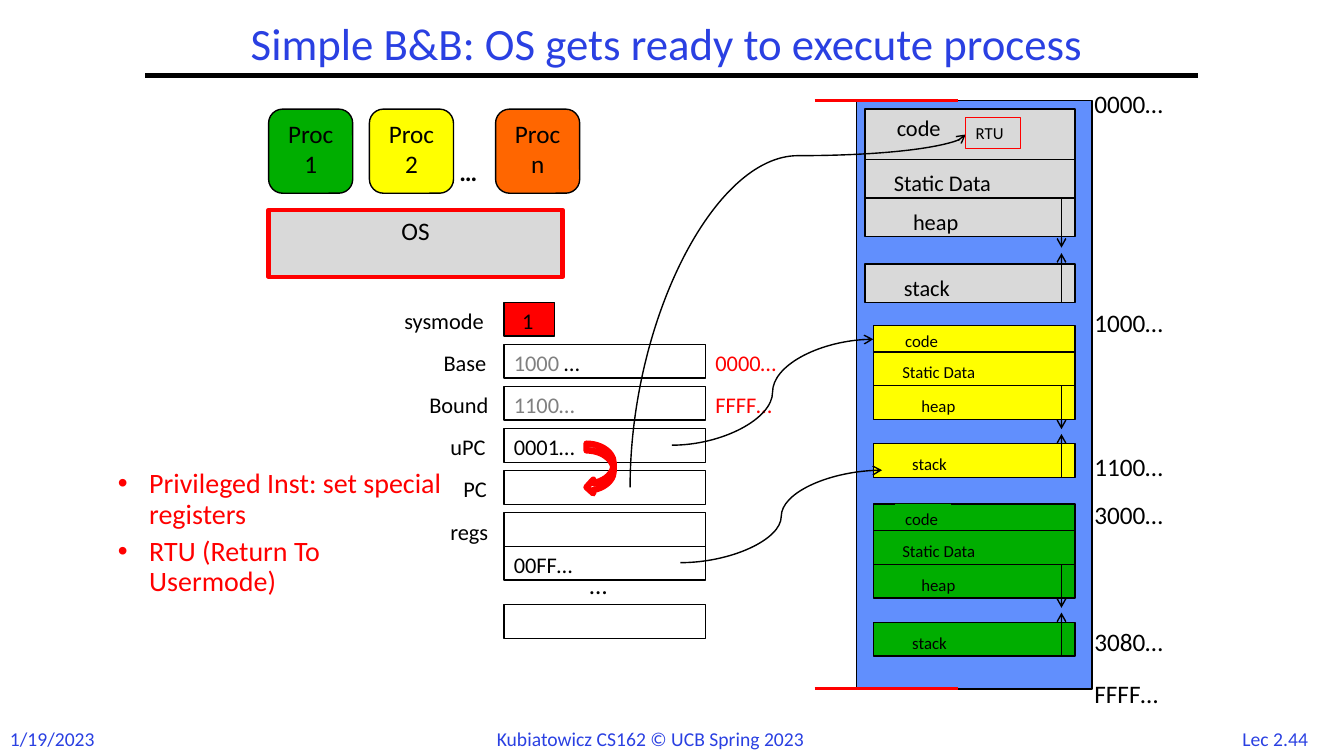
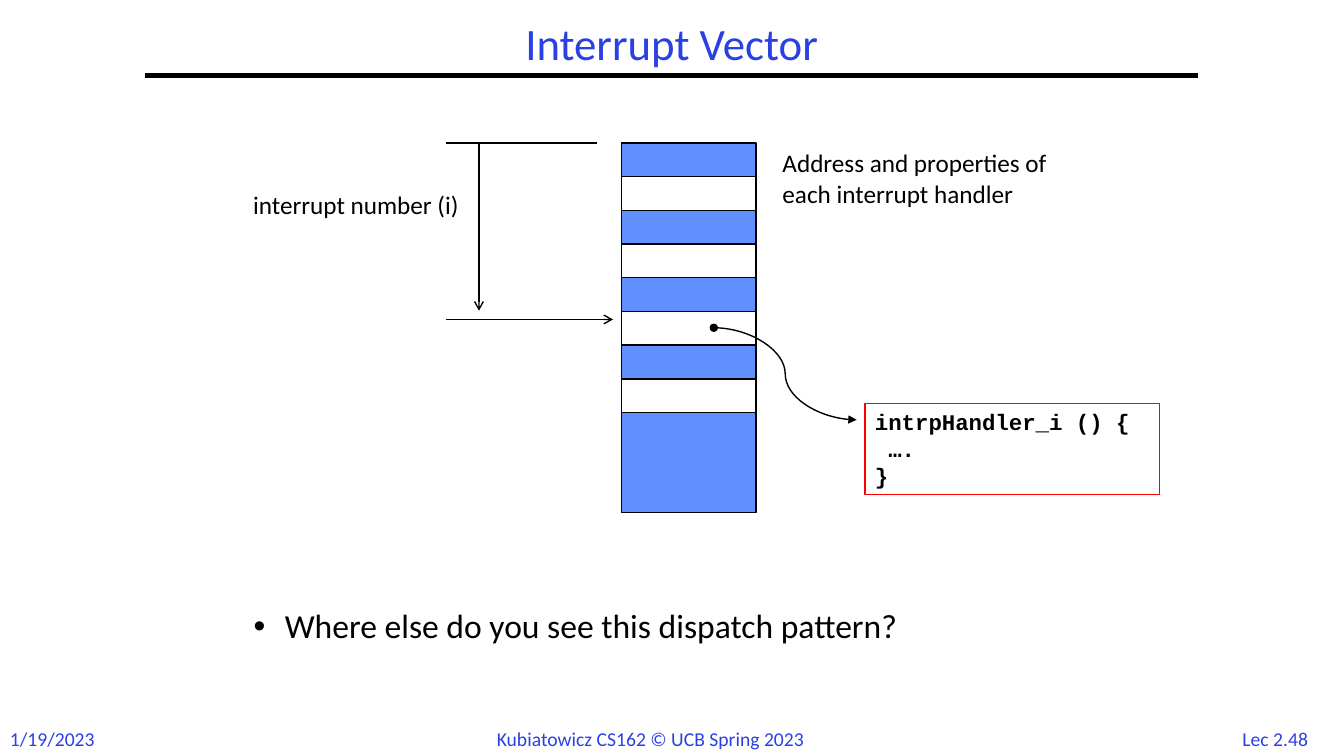
from dataclasses import dataclass
from itertools import accumulate

from lxml import etree
from pptx import Presentation
from pptx import util as u
from pptx.dml.color import RGBColor
from pptx.enum import shapes, text
from pptx.oxml import ns

HUE = {
    "ink": "000000", "blue": "2A40E2", "red": "FF0000", "gray": "808080",
    "pale": "D9D9D9", "sky": "618FFD", "white": "FFFFFF",
    "green": "00AE00", "yellow": "FFFF00", "orange": "FF6600",
}
Box = tuple[float, float, float, float]
Spot = tuple[float, float]
KIND = shapes.MSO_SHAPE
ALIGN = {"left": text.PP_ALIGN.LEFT, "mid": text.PP_ALIGN.CENTER,
         "right": text.PP_ALIGN.RIGHT}


@dataclass
class Proc:
    name: str
    left: float
    fill: str


@dataclass
class Image:
    """Memory of one process: a code row, three further rows, a gap."""
    left: float
    top: float
    width: float
    code: float
    row: float
    fill: str
    size: int
    fit: float
    mask: bool = False


@dataclass
class Part:
    name: str
    shift: float
    drop: float
    width: float


@dataclass
class Reg:
    name: str
    wide: float
    top: float
    value: str = ""
    room: float = 2.4
    tint: str = "ink"
    tail: str = ""
    fresh: str = ""


@dataclass
class Mark:
    name: str
    top: float
    width: float = 2.59


PROCS = [Proc("Proc 1", 6.77, "green"), Proc("Proc 2", 9.31, "yellow"),
         Proc("Proc n", 12.49, "orange")]
IMAGES = [
    Image(21.8, 2.75, 5.29, 1.27, 0.97, "pale", 16, 1),
    Image(22.01, 8.2, 5.08, 0.67, 0.85, "yellow", 12, 0.8),
    Image(22.01, 12.7, 5.08, 0.67, 0.85, "green", 12, 0.8, mask=True),
]
PARTS = [Part("code", 0.55, 0, 1.76), Part("Static Data", 0.48, 0.13, 3.28),
         Part("heap", 0.96, 0.13, 1.79), Part("stack", 0.73, 0.13, 1.86)]
PITCH = 1.06
FIRST = 7.62
REGS = [
    Reg("Base", 1.8, FIRST + PITCH, "1000 ", 2.51, "gray", "…", "0000…"),
    Reg("Bound", 2.16, FIRST + 2 * PITCH, "1100…", 2.31, "gray", "", "FFFF…"),
    Reg("uPC", 1.63, FIRST + 3 * PITCH, "0001…", 2.34),
    Reg("PC", 1.3, FIRST + 4 * PITCH),
    Reg("regs", 1.63, FIRST + 5 * PITCH),
    Reg("", 0, 13.77, "00FF…"),
    Reg("", 0, 15.24),
]
MARKS = [Mark("0000…", 2.11), Mark("1000…", 7.62), Mark("1100…", 11.25, 2.54),
         Mark("3000…", 12.45), Mark("3080…", 15.67),
         Mark("FFFF…", 16.97, 2.72)]


def rgb(hue: str) -> RGBColor:
    return RGBColor.from_string(HUE[hue])


def write(shape, words: str, *, size=18, hue="ink", font="Calibri", bold=False,
          align="left", wrap=True, grow=False, mid=False, lead=None, gap=0,
          bullet=False, tail=""):
    """Fill a shape with one paragraph a line; tail is a last black run."""
    frame = shape.text_frame
    frame.word_wrap = wrap
    frame.auto_size = (text.MSO_AUTO_SIZE.SHAPE_TO_FIT_TEXT if grow
                       else text.MSO_AUTO_SIZE.NONE)
    frame.vertical_anchor = (text.MSO_ANCHOR.MIDDLE if mid
                             else text.MSO_ANCHOR.TOP)
    for i, line in enumerate(words.split("\n")):
        para = frame.add_paragraph() if i else frame.paragraphs[0]
        if bullet:
            props = para._p.get_or_add_pPr()
            props.set("marL", str(u.Cm(0.79)))
            props.set("indent", str(-u.Cm(0.79)))
            etree.SubElement(props, ns.qn("a:buFont"), typeface="Arial")
            etree.SubElement(props, ns.qn("a:buChar"), char="•")
        para.alignment = ALIGN[align]
        if lead:
            para.line_spacing = lead
        if i and gap:
            para.space_before = u.Pt(gap)
        runs = [(line, hue)] + ([(tail, "ink")] if tail else [])
        for part, tint in runs:
            run = para.add_run()
            run.text = part
            run.font.name, run.font.size = font, u.Pt(size)
            run.font.bold = bold
            run.font.color.rgb = rgb(tint)


def label(slide, box: Box, words: str, **form):
    """Text box that keeps to one line unless told to wrap."""
    shape = slide.shapes.add_textbox(*map(u.Cm, box))
    write(shape, words, **{"wrap": False, "grow": True, **form})
    return shape


def block(slide, box: Box, fill=None, *, edge="ink", width=1.0,
          kind=KIND.RECTANGLE):
    shape = slide.shapes.add_shape(kind, *map(u.Cm, box))
    shape.shadow.inherit = False
    if fill:
        shape.fill.solid()
        shape.fill.fore_color.rgb = rgb(fill)
    else:
        shape.fill.background()
    shape.line.color.rgb = rgb(edge)
    shape.line.width = u.Pt(width)
    return shape


def link(slide, start: Spot, end: Spot, *, hue="ink", width=1.0, head="",
         tail="", curve=False, bend=0.5, rise=False):
    """Line or curve; a rising curve leaves its start vertically."""
    (ax, ay), (bx, by) = start, end
    if rise:
        cx, cy = (ax + bx) / 2, (ay + by) / 2
        dx, dy = abs(ay - by) / 2, abs(bx - ax) / 2
        ax, ay, bx, by = cx + dx, cy + dy, cx - dx, cy - dy
    kind = shapes.MSO_CONNECTOR
    wire = slide.shapes.add_connector(
        kind.CURVE if curve else kind.STRAIGHT, *map(u.Cm, (ax, ay, bx, by)))
    wire.line.color.rgb = rgb(hue)
    wire.line.width = u.Pt(width)
    props = wire.element.spPr
    if rise:
        props.find(ns.qn("a:xfrm")).set("rot", str(90 * 60000))
    if curve:
        geom = props.find(ns.qn("a:prstGeom"))
        guides = geom.find(ns.qn("a:avLst"))
        if guides is None:
            guides = etree.SubElement(geom, ns.qn("a:avLst"))
        etree.SubElement(guides, ns.qn("a:gd"), name="adj1",
                         fmla=f"val {round(bend * 100000)}")
    line = props.find(ns.qn("a:ln"))
    for tag, form in (("a:headEnd", head), ("a:tailEnd", tail)):
        if form:
            etree.SubElement(line, ns.qn(tag), type=form)
    etree.SubElement(props, ns.qn("a:effectLst"))


def start(deck, title: str, page: str):
    """New slide with title, rule and footer."""
    slide = deck.slides.add_slide(deck.slide_layouts[6])
    foot = {"size": 14, "hue": "blue"}
    label(slide, (30.91, 18.19, 2.46, 0.85), page, align="mid", **foot)
    label(slide, (0, 18.19, 2.72, 0.85), "1/19/2023", **foot)
    label(slide, (12.27, 18.19, 9.35, 0.85),
          "Kubiatowicz CS162 © UCB Spring 2023", **foot)
    link(slide, (3.66, 1.9), (30.2, 1.9), width=3)
    label(slide, (3.66, 0.43, 26.54, 1.47), title, size=32, hue="blue",
          align="mid", mid=True, lead=0.9, wrap=True, grow=False)
    return slide


def bullets(slide, box: Box, words: str, **form):
    label(slide, box, words, bullet=True, lead=0.9, gap=5, wrap=True,
          grow=False, **form)


def draw_image(slide, img: Image):
    highs = [img.code] + [img.row] * 3
    tops = list(accumulate(highs[:-1], initial=img.top))
    tops[-1] += 0.72 * img.row
    for part, top, high in zip(PARTS, tops, highs):
        block(slide, (img.left, top, img.width, high), img.fill)
        tag = label(slide, (img.left + part.shift, top + part.drop,
                            part.width * img.fit, 0.94 * img.fit),
                    part.name, size=img.size)
        if img.mask and part.name == "code":
            tag.fill.solid()
            tag.fill.fore_color.rgb = rgb(img.fill)
    x, reach = img.left + img.width - 0.34, 1.29 * img.row
    base = tops[3] + img.row
    link(slide, (x, base), (x, base - reach), tail="arrow")
    link(slide, (x, tops[2]), (x, tops[2] + reach), tail="arrow")


def draw_reg(slide, reg: Reg):
    left, wide, high = 12.7, 5.08, 0.94
    block(slide, (left, reg.top, wide, 0.85))
    if reg.name:
        label(slide, (12.73 - reg.wide, reg.top, reg.wide, high), reg.name,
              size=16)
    if reg.value:
        label(slide, (left, reg.top, reg.room, high), reg.value, size=16,
              hue=reg.tint, tail=reg.tail)
    if reg.fresh:
        label(slide, (left + wide, reg.top, 2.4, high), reg.fresh, size=16,
              hue="red")


def ready(deck):
    slide = start(deck, "Simple B&B: OS gets ready to execute process ",
                  "Lec 2.44")
    bullets(slide, (2.72, 11.71, 8.69, 2.97),
            "Privileged Inst: set special registers\n"
            "RTU (Return To Usermode)", size=20, hue="red")
    write(block(slide, (6.77, 5.29, 7.41, 1.69), "pale", edge="red", width=3),
          "OS", align="mid")
    for proc in PROCS:
        write(block(slide, (proc.left, 2.75, 2.12, 2.12), proc.fill,
                    kind=KIND.ROUNDED_RECTANGLE), proc.name, align="mid")
    label(slide, (11.33, 3.81, 1.14, 1.02), "…", bold=True)

    block(slide, (21.59, 2.54, 5.93, 14.82), "sky")
    for img in IMAGES:
        draw_image(slide, img)
    for mark in MARKS:
        label(slide, (27.33, mark.top, mark.width, 1.02), mark.name)

    block(slide, (12.7, FIRST, 1.27, 0.85), "red")
    label(slide, (9.94, FIRST, 2.79, 0.94), "sysmode", size=16)
    label(slide, (12.91, FIRST, 0.84, 0.94), "1", size=16)
    for reg in REGS:
        draw_reg(slide, reg)
    label(slide, (14.61, 14.22, 1.14, 1.02), "…")

    for y in (2.54, 17.36):
        link(slide, (20.53, y), (24.13, y), hue="red", width=2.25)
    link(slide, (15.88, 12.28), (24.34, 3.39), tail="arrow", curve=True,
         bend=0.94, rise=True)
    link(slide, (16.93, 11.22), (22.01, 8.55), tail="arrow", curve=True)
    link(slide, (17.15, 14.18), (22.23, 11.85), tail="arrow", curve=True)
    write(block(slide, (24.34, 2.97, 1.37, 0.77), edge="red", width=0.75),
          "RTU", size=12, wrap=False, grow=True)
    block(slide, (14.78, 11.18, 0.69, 1.27), "white", edge="red", width=4.5,
          kind=KIND.CURVED_LEFT_ARROW)


def vector(deck):
    slide = start(deck, "Interrupt Vector", "Lec 2.48")
    bullets(slide, (6.14, 15.24, 21.17, 2.33),
            "Where else do you see this dispatch pattern?", size=24)
    left, top, wide, cell = 15.66, 3.6, 3.39, 0.85
    block(slide, (left, top, wide, 9.31), "sky")
    for i in range(1, 8, 2):
        block(slide, (left, top + i * cell, wide, cell), "white")
    link(slide, (15.04, top), (11.23, top))
    link(slide, (12.07, top), (12.07, 7.83), tail="arrow")
    label(slide, (4.65, 4.65, 7.16, 1.02), "interrupt number (i)",
          align="right", wrap=True)
    link(slide, (11.23, 8.05), (15.45, 8.05), tail="arrow")
    link(slide, (17.99, 8.26), (21.59, 10.58), head="oval", tail="triangle",
         curve=True)
    write(block(slide, (21.8, 10.16, 7.42, 2.31), edge="red", width=0.75),
          "intrpHandler_i () {\n ….\n}", size=16, font="Courier New",
          bold=True, grow=True)
    label(slide, (19.47, top, 7.62, 1.8),
          "Address and properties of each interrupt handler", wrap=True)


def main():
    deck = Presentation()
    deck.slide_width, deck.slide_height = u.Cm(33.87), u.Cm(19.05)
    ready(deck)
    vector(deck)
    deck.save("out.pptx")


if __name__ == "__main__":
    main()
